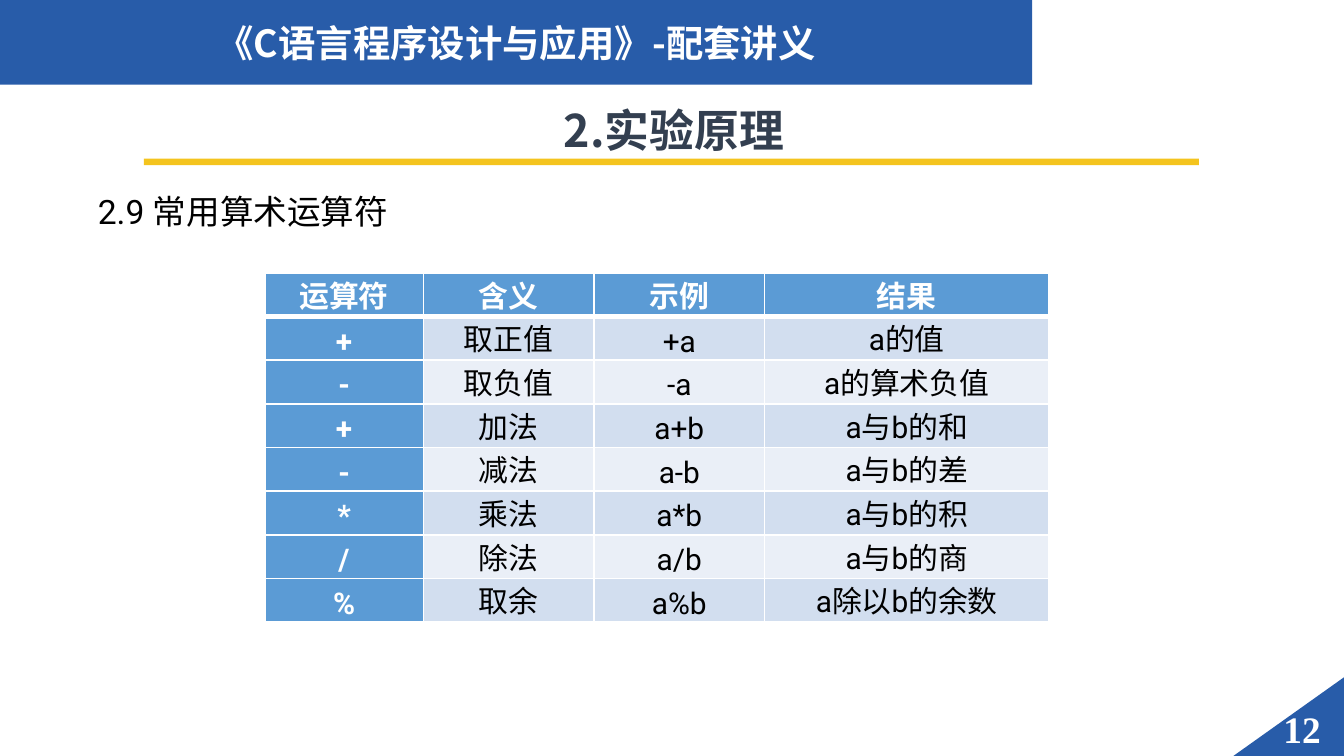
import pptx
import pptx.dml.color
import pptx.enum.shapes
import pptx.enum.text
import pptx.oxml
import pptx.oxml.ns
import pptx.util
from lxml import etree

RGB = pptx.dml.color.RGBColor
BLUE = RGB(0x28, 0x5C, 0xA9)
GOLD = RGB(0xF4, 0xC4, 0x1E)
SLATE = RGB(0x33, 0x3F, 0x50)
BLACK = RGB(0, 0, 0)
WHITE = RGB(0xFF, 0xFF, 0xFF)
HEAD = RGB(0x5B, 0x9B, 0xD5)
BANDS = RGB(0xD2, 0xDE, 0xEF), RGB(0xEA, 0xEF, 0xF7)

SCALE = 4572  # EMU per px, 200 px to the inch
SANS = "Noto Sans CJK SC"
LATIN = "Roboto"
KIND = pptx.enum.shapes.MSO_SHAPE
ALIGN = pptx.enum.text.PP_ALIGN
ANCHOR = pptx.enum.text.MSO_ANCHOR
qn = pptx.oxml.ns.qn

COLS = 236, 254, 254, 423
ROW = 65
ROWS = [
    ("运算符", "含义", "示例", "结果"),
    ("+", "取正值", "+a", "a的值"),
    ("-", "取负值", "-a", "a的算术负值"),
    ("+", "加法", "a+b", "a与b的和"),
    ("-", "减法", "a-b", "a与b的差"),
    ("*", "乘法", "a*b", "a与b的积"),
    ("/", "除法", "a/b", "a与b的商"),
    ("%", "取余", "a%b", "a除以b的余数"),
]


def px(*nums):
    return [pptx.util.Emu(n * SCALE) for n in nums]


def style(para, size, face, color, bold=False, align=ALIGN.CENTER, lead=None):
    para.alignment = align
    if lead:
        para.line_spacing = lead
    font = para.font
    font.size = pptx.util.Pt(size)
    font.bold = bold
    font.color.rgb = color
    font.name = face
    props = para._p.pPr.find(qn("a:defRPr"))
    etree.SubElement(props, qn("a:ea"), typeface=SANS)


def add_block(slide, kind, box, color, turn=0):
    shape = slide.shapes.add_shape(kind, *px(*box))
    shape.rotation = turn
    shape.shadow.inherit = False
    shape.fill.solid()
    shape.fill.fore_color.rgb = color
    shape.line.fill.background()


def add_text(slide, box, text, *look, anchor=ANCHOR.TOP, **more):
    frame = slide.shapes.add_textbox(*px(*box)).text_frame
    frame.word_wrap = True
    frame.vertical_anchor = anchor
    para = frame.paragraphs[0]
    para.text = text
    style(para, *look, **more)


def set_edges(cell, top, base):
    """Draw white cell borders; top and base are widths in points."""
    props = cell._tc.get_or_add_tcPr()
    sides = ("L", 1), ("R", 1), ("T", top), ("B", base)
    for spot, (side, width) in enumerate(sides):
        line = etree.Element(qn("a:ln" + side), w=str(pptx.util.Pt(width)))
        fill = etree.SubElement(line, qn("a:solidFill"))
        etree.SubElement(fill, qn("a:srgbClr"), val=str(WHITE))
        props.insert(spot, line)


def fill_cell(cell, text, row, col):
    key = row == 0 or col == 0
    cell.fill.solid()
    cell.fill.fore_color.rgb = HEAD if key else BANDS[(row - 1) % 2]
    cell.margin_left, cell.margin_right = px(22, 22)
    cell.margin_top = cell.margin_bottom = 0
    set_edges(cell, 3 if row == 1 else 1, 3 if row == 0 else 1)
    para = cell.text_frame.paragraphs[0]
    para.text = text
    style(para, 16, LATIN, WHITE if key else BLACK, bold=key,
          lead=pptx.util.Pt(23))


def add_grid(slide, left, top):
    box = px(left, top, sum(COLS), ROW * len(ROWS))
    grid = slide.shapes.add_table(len(ROWS), len(COLS), *box).table
    for col, width in zip(grid.columns, px(*COLS)):
        col.width = width
    for r, words in enumerate(ROWS):
        grid.rows[r].height = px(ROW)[0]
        for c, word in enumerate(words):
            fill_cell(grid.cell(r, c), word, r, c)


def main():
    deck = pptx.Presentation()
    deck.slide_width, deck.slide_height = px(2000, 1125)
    slide = deck.slides.add_slide(deck.slide_layouts[6])

    add_block(slide, KIND.RIGHT_TRIANGLE, (1858, 984, 118, 166), BLUE, 270)
    add_text(slide, (1887, 1052, 98, 64), "12", 20, "Times New Roman", WHITE,
             True, ALIGN.RIGHT, anchor=ANCHOR.MIDDLE)
    add_text(slide, (126, 244, 1740, 202), "2.9 常用算术运算符", 18, LATIN,
             BLACK, align=ALIGN.LEFT, lead=1.5)
    add_block(slide, KIND.RECTANGLE, (0, 0, 1536, 126), BLUE)
    add_block(slide, KIND.RECTANGLE, (214, 236, 1570, 10), GOLD)
    add_text(slide, (0, 20, 1536, 88), "《C语言程序设计与应用》-配套讲义",
             20, SANS, WHITE, True)
    add_text(slide, (250, 127, 1506, 86), "2.实验原理", 24, SANS, SLATE, True,
             lead=1.2)
    add_grid(slide, 394, 406)
    deck.save("out.pptx")


if __name__ == "__main__":
    main()
